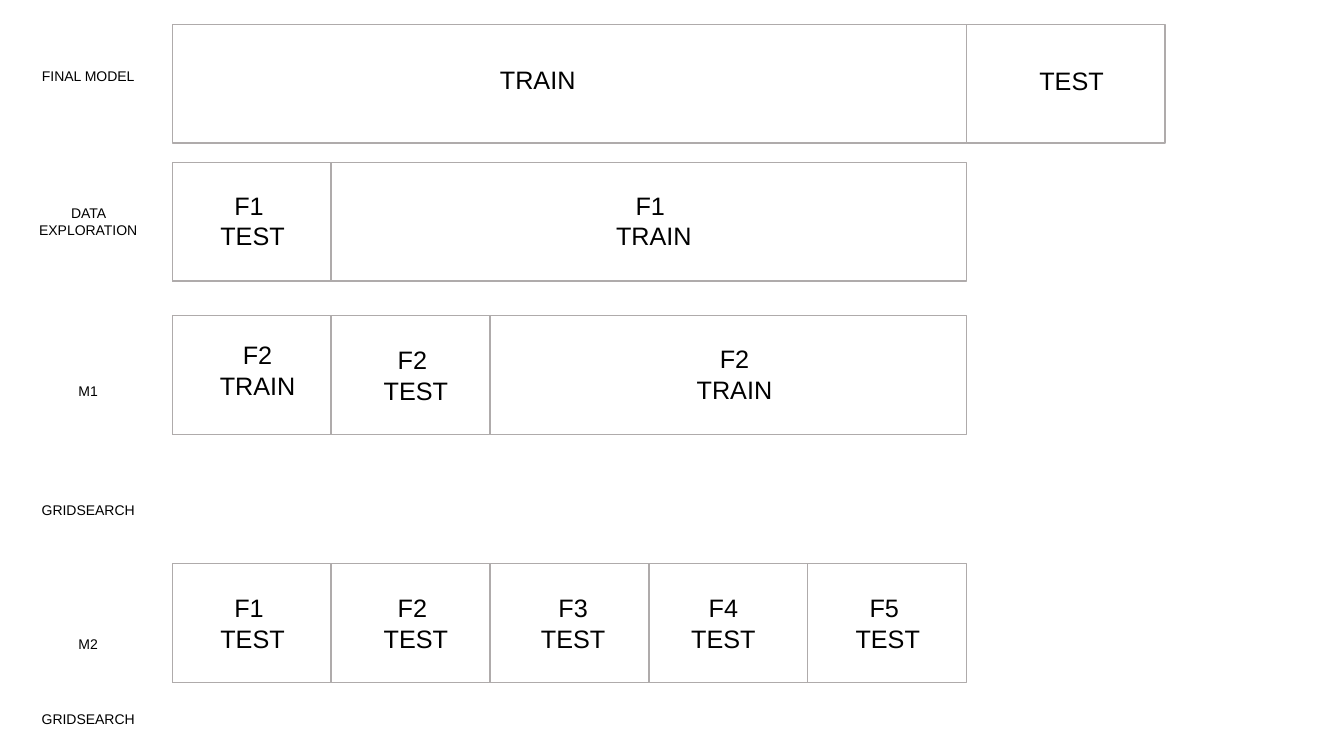
from pptx import Presentation
from pptx.dml.color import RGBColor
from pptx.enum.shapes import MSO_SHAPE
from pptx.enum.text import MSO_AUTO_SIZE, PP_ALIGN
from pptx.util import Inches, Pt

BLACK = RGBColor(0x00, 0x00, 0x00)
GREY = RGBColor(0xAF, 0xAB, 0xAB)

DATA_LEFT = 1.71
FOLD_WIDTH = 1.575
TRAIN_WIDTH = 5 * FOLD_WIDTH
ROW_HEIGHT = 1.18

deck = Presentation()
deck.slide_width = Inches(13.33)
deck.slide_height = Inches(7.5)
slide = deck.slides.add_slide(deck.slide_layouts[6])


def add_text(text, left, top, width=1.23, height=0.71, size=18, align=PP_ALIGN.CENTER):
    box = slide.shapes.add_textbox(Inches(left), Inches(top), Inches(width), Inches(height))
    frame = box.text_frame
    frame.word_wrap = True
    frame.auto_size = MSO_AUTO_SIZE.SHAPE_TO_FIT_TEXT
    frame.text = text
    for paragraph in frame.paragraphs:
        paragraph.alignment = align
        paragraph.font.name = "Arial"
        paragraph.font.size = Pt(size)
        paragraph.font.color.rgb = BLACK


def add_block(left, top, width):
    block = slide.shapes.add_shape(
        MSO_SHAPE.RECTANGLE, Inches(left), Inches(top), Inches(width), Inches(ROW_HEIGHT))
    block.shadow.inherit = False
    block.fill.background()
    block.line.color.rgb = GREY
    block.line.width = Pt(1)


for row_top, separate_folds in [(0.24, 0), (1.61, 1), (3.13, 2), (5.59, 4)]:
    add_block(DATA_LEFT, row_top, TRAIN_WIDTH)
    for fold in range(separate_folds):
        add_block(DATA_LEFT + fold * FOLD_WIDTH, row_top, FOLD_WIDTH)
add_block(DATA_LEFT + TRAIN_WIDTH, 0.24, 1.97)

for stage, top, height in [
    ("FINAL MODEL", 0.62, 0.27),
    ("DATA EXPLORATION", 1.98, 0.44),
    ("M1", 3.75, 0.27),
    ("GRIDSEARCH", 4.93, 0.27),
    ("M2", 6.26, 0.27),
    ("GRIDSEARCH", 7, 0.27),
]:
    add_text(stage, 0.26, top, height=height, size=10)

for part, left, top in [("TRAIN", 4.86, 0.59), ("TEST", 10.21, 0.6)]:
    add_text(part, left, top, width=1.01, height=0.4, align=PP_ALIGN.LEFT)

for fold_part, left, top in [
    ("F1 \nTEST", 1.89, 1.84),
    ("F1 \nTRAIN", 5.87, 1.84),
    ("F2\nTRAIN", 1.94, 3.32),
    ("F2 \nTEST", 3.51, 3.37),
    ("F2\nTRAIN", 6.67, 3.36),
    ("F1 \nTEST", 1.89, 5.83),
    ("F2 \nTEST", 3.51, 5.83),
    ("F3\nTEST", 5.07, 5.83),
    ("F4\nTEST", 6.56, 5.83),
    ("F5 \nTEST", 8.19, 5.83),
]:
    add_text(fold_part, left, top)

deck.save("out.pptx")
